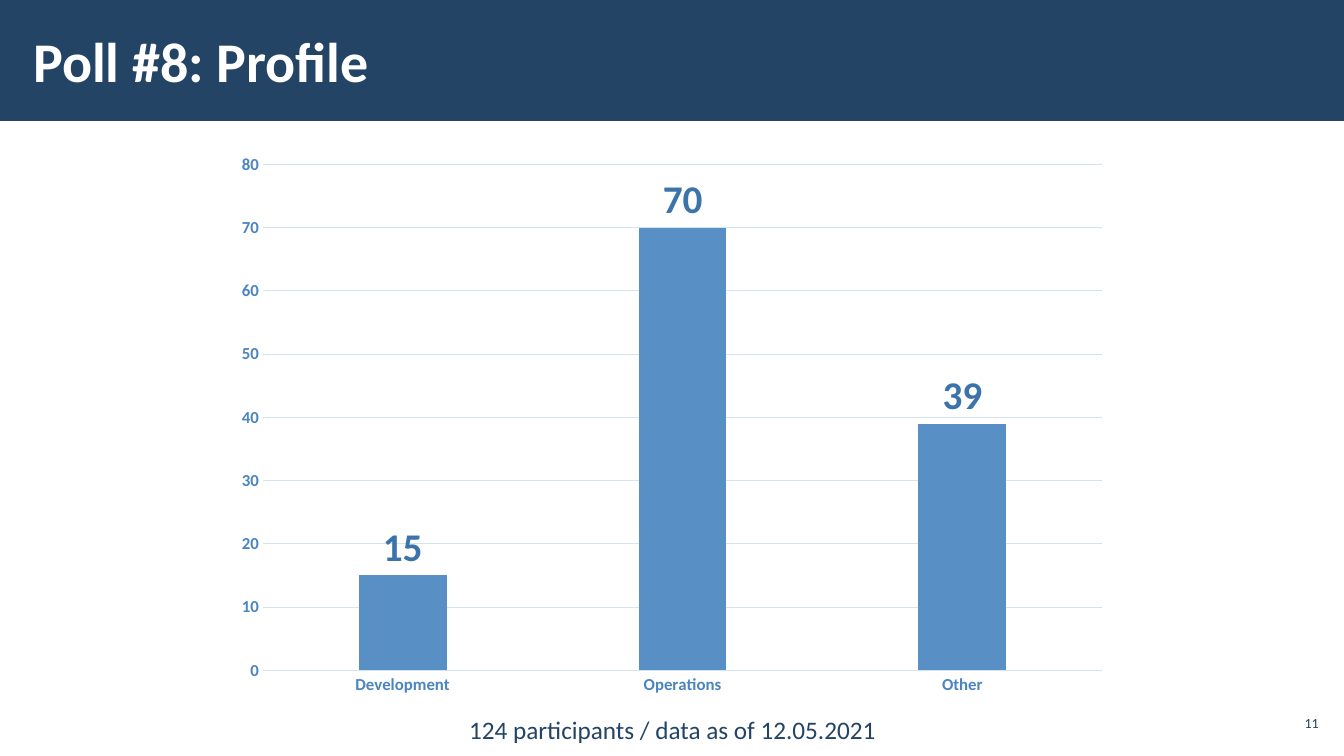
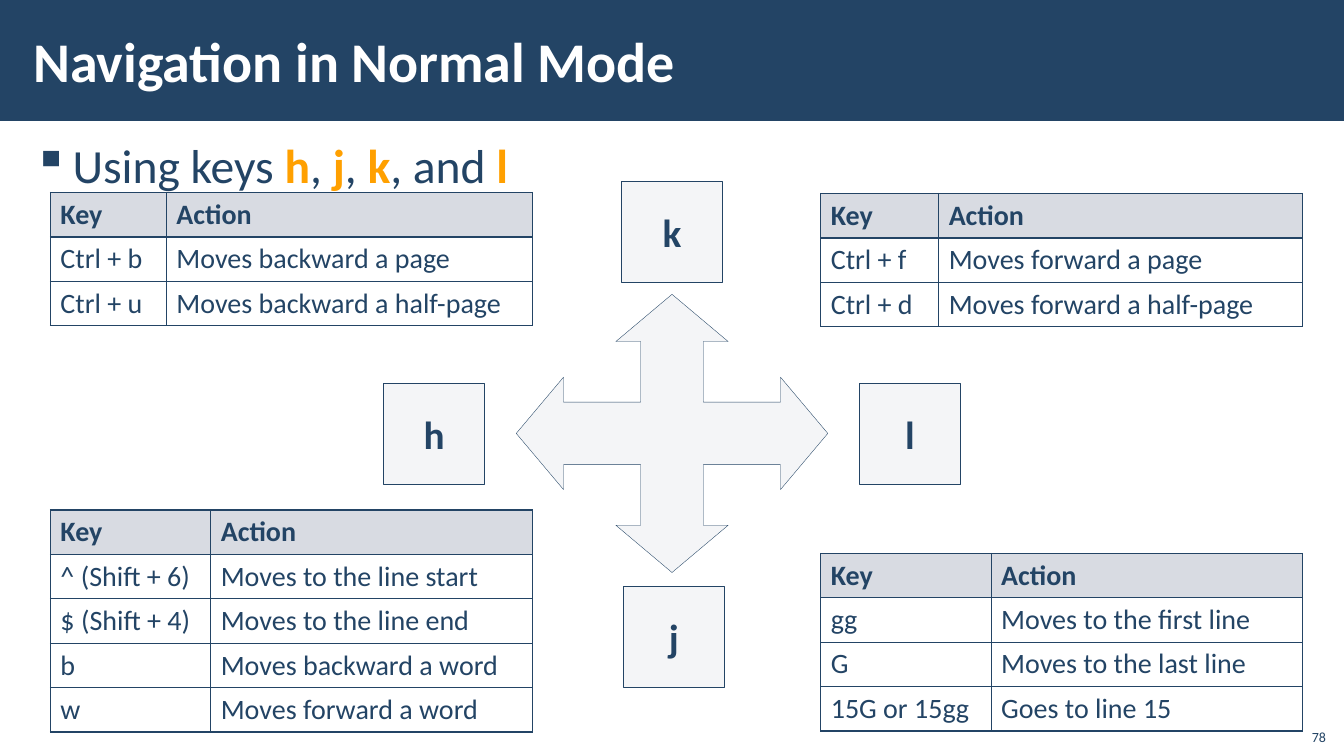
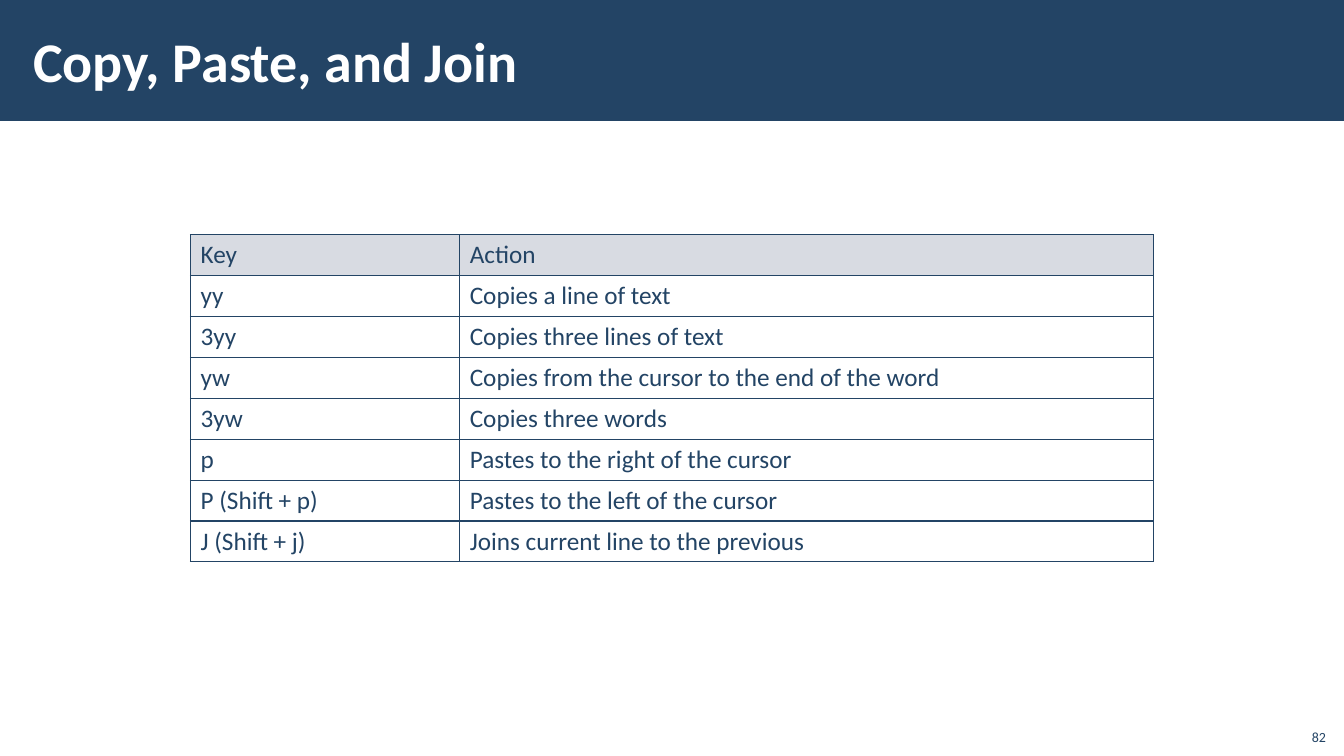
"""Build three training slides: a poll chart and two editor key references."""
from lxml import etree
from pptx import Presentation, util as u
from pptx.chart.data import CategoryChartData
from pptx.dml.color import RGBColor
from pptx.enum import chart as ch, shapes, text
from pptx.oxml.ns import qn

FONT = "Calibri"
WIDTH, HEIGHT = 13.33, 7.5
COLORS = {"navy": "234465", "white": "FFFFFF", "accent": "FFA000", "key": "F4F5F7",
          "header": "D8DBE2", "bar": "588FC5", "label": "3B73AA", "axis": "4A85C0",
          "grid": "D5E3F1"}
BAND = (0, 0, WIDTH, 1.2)
TITLE = (0.21, 0.11, 10.63, 0.97)
TITLE_INSETS = (0.12, 0.04, 0.12, 0.04)
DEFAULT_INSETS = (0.1, 0.05, 0.1, 0.05)
PAGE_BOX = (12.85, 7.12, 0.4, 0.32)

POLL = {"Development": 15, "Operations": 70, "Other": 39}
POLL_NOTE = "124 participants / data as of 12.05.2021"

USING_KEYS = [("Using keys ", False), ("h", True), (", ", False), ("j", True),
              (", ", False), ("k", True), (", and ", False), ("l", True)]
ARROW = (5.12, 2.92, 3.09, 2.76)
ARROW_SHAPE = (0.225, 0.202, 0.17)
KEY_SIZE = 1
KEY_OFFSETS = {"h": (-2.36, 0), "k": (0, -2), "j": (0.02, 2.02), "l": (2.36, 0)}

HEADER = ("Key", "Action")
LEFT, RIGHT, REFERENCE_WIDTH, REFERENCE_ROW = 0.5, 8.14, 4.78, 0.44
REFERENCES = [
    (RIGHT, 1.92, 1.17, [("Ctrl + f", "Moves forward a page"),
                         ("Ctrl + d", "Moves forward a half-page")]),
    (LEFT, 1.91, 1.15, [("Ctrl + b", "Moves backward a page"),
                        ("Ctrl + u", "Moves backward a half-page")]),
    (RIGHT, 5.49, 1.69, [("gg", "Moves to the first line"),
                         ("G", "Moves to the last line"),
                         ("15G or 15gg", "Goes to line 15")]),
    (LEFT, 5.06, 1.59, [("^ (Shift + 6)", "Moves to the line start"),
                        ("$ (Shift + 4)", "Moves to the line end"),
                        ("b", "Moves backward a word"),
                        ("w", "Moves forward a word")]),
]
COPY_KEYS = [
    ("yy", "Copies a line of text"),
    ("3yy", "Copies three lines of text"),
    ("yw", "Copies from the cursor to the end of the word"),
    ("3yw", "Copies three words"),
    ("p", "Pastes to the right of the cursor"),
    ("P (Shift + p)", "Pastes to the left of the cursor"),
    ("J (Shift + j)", "Joins current line to the previous"),
]


def color(name):
    return RGBColor.from_string(COLORS[name])


def inches(box):
    return [u.Inches(length) for length in box]


def style(font, size, name="navy", bold=False):
    font.name, font.size, font.bold = FONT, u.Pt(size), bold
    font.color.rgb = color(name)


def set_frame(frame, insets, anchor):
    frame.word_wrap = True
    frame.auto_size = text.MSO_AUTO_SIZE.NONE
    frame.vertical_anchor = anchor
    (frame.margin_left, frame.margin_top,
     frame.margin_right, frame.margin_bottom) = inches(insets)
    return frame.paragraphs[0]


def write(holder, words, size, name="navy", bold=False, align=text.PP_ALIGN.LEFT,
          insets=DEFAULT_INSETS, anchor=text.MSO_ANCHOR.MIDDLE):
    line = set_frame(holder.text_frame, insets, anchor)
    line.text, line.alignment = words, align
    style(line.font, size, name, bold)
    return line


def add_block(slide, kind, box, fill, outline=None):
    block = slide.shapes.add_shape(kind, *inches(box))
    block.shadow.inherit = False
    block.fill.solid()
    block.fill.fore_color.rgb = color(fill)
    if outline:
        block.line.color.rgb = color(outline)
        block.line.width = u.Pt(0.25)
    else:
        block.line.fill.background()
    return block


def add_slide(deck, title, page, page_box=PAGE_BOX, insets=DEFAULT_INSETS,
              anchor=text.MSO_ANCHOR.BOTTOM):
    slide = deck.slides.add_slide(deck.slide_layouts[5])
    heading = slide.shapes.title
    heading.left, heading.top, heading.width, heading.height = inches(TITLE)
    write(heading, title, 40, "white", True, insets=TITLE_INSETS)
    write(slide.shapes.add_textbox(*inches(page_box)), page, 10,
          align=text.PP_ALIGN.RIGHT, insets=insets, anchor=anchor)
    return slide


def add_band(slide):
    band = add_block(slide, shapes.MSO_SHAPE.RECTANGLE, BAND, "navy")
    slide.slide_layout.shapes._spTree.insert(2, band._element)


def add_borders(cell):
    properties = cell._tc.get_or_add_tcPr()
    for position, side in enumerate(("lnL", "lnR", "lnT", "lnB")):
        border = etree.Element(qn(f"a:{side}"), w=str(u.Pt(1)))
        solid = etree.SubElement(border, qn("a:solidFill"))
        etree.SubElement(solid, qn("a:srgbClr"), val=COLORS["navy"])
        properties.insert(position, border)


def add_key_table(slide, left, top, width, key_width, row_height, entries, size, bold_header):
    rows = [HEADER, *entries]
    box = (left, top, width, row_height * len(rows))
    table = slide.shapes.add_table(len(rows), len(HEADER), *inches(box)).table
    table.first_row = table.horz_banding = False
    for column, share in zip(table.columns, (key_width, width - key_width)):
        column.width = u.Inches(share)
    for r, row in enumerate(rows):
        table.rows[r].height = u.Inches(row_height)
        for c, words in enumerate(row):
            cell = table.cell(r, c)
            cell.text = words
            style(cell.text_frame.paragraphs[0].font, size, bold=bold_header and r == 0)
            if r == 0:
                cell.fill.solid()
                cell.fill.fore_color.rgb = color("header")
            else:
                cell.fill.background()
            add_borders(cell)


def add_poll_chart(slide, box):
    data = CategoryChartData()
    data.categories = list(POLL)
    data.add_series("Series 1", list(POLL.values()))
    chart = slide.shapes.add_chart(ch.XL_CHART_TYPE.COLUMN_CLUSTERED, *inches(box), data).chart
    chart.has_legend = chart.has_title = False
    style(chart.font, 10)
    for axis in (chart.category_axis, chart.value_axis):
        axis.major_tick_mark = axis.minor_tick_mark = ch.XL_TICK_MARK.NONE
        style(axis.tick_labels.font, 12, "axis", True)
    values = chart.value_axis
    values.minimum_scale, values.maximum_scale, values.major_unit = 0, 80, 10
    values.format.line.fill.background()
    for line in (chart.category_axis.format.line, values.major_gridlines.format.line):
        line.color.rgb = color("grid")
        line.width = u.Pt(0.75)
    plot = chart.plots[0]
    plot.gap_width, plot.overlap, plot.vary_by_categories = 219, -27, False
    bars = plot.series[0]
    bars.format.fill.solid()
    bars.format.fill.fore_color.rgb = color("bar")
    labels = bars.data_labels
    labels.show_value = True
    labels.position = ch.XL_LABEL_POSITION.OUTSIDE_END
    style(labels.font, 28, "label", True)


def add_using_keys(slide):
    holder = slide.shapes.add_textbox(*inches((0.21, 1.31, 12.92, 0.7)))
    line = set_frame(holder.text_frame, TITLE_INSETS, text.MSO_ANCHOR.TOP)
    properties = line._p.get_or_add_pPr()
    properties.set("marL", str(u.Inches(0.39)))
    properties.set("indent", str(-u.Inches(0.39)))
    etree.SubElement(properties, qn("a:buChar"), char="▪")
    style(line.font, 34)
    for words, is_key in USING_KEYS:
        run = line.add_run()
        run.text = words
        if is_key:
            run.font.bold = True
            run.font.color.rgb = color("accent")


def add_key_cross(slide):
    arrow = add_block(slide, shapes.MSO_SHAPE.QUAD_ARROW, ARROW, "key", "navy")
    for position, share in enumerate(ARROW_SHAPE):
        arrow.adjustments[position] = share
    left, top, width, height = ARROW
    for key, (across, down) in KEY_OFFSETS.items():
        box = (left + (width - KEY_SIZE) / 2 + across,
               top + (height - KEY_SIZE) / 2 + down, KEY_SIZE, KEY_SIZE)
        block = add_block(slide, shapes.MSO_SHAPE.RECTANGLE, box, "key", "navy")
        write(block, key, 28, bold=True, align=text.PP_ALIGN.CENTER)


def main():
    deck = Presentation()
    deck.slide_width, deck.slide_height = inches((WIDTH, HEIGHT))

    poll = add_slide(deck, "Poll #8: Profile", "11", (12.65, 7, 0.47, 0.34),
                     (0.04,) * 4, text.MSO_ANCHOR.MIDDLE)
    add_band(poll)
    add_poll_chart(poll, (2.22, 1.42, 8.89, 5.58))
    note = poll.shapes.add_textbox(*inches((0.22, 6.94, 12.9, 0.56)))
    write(note, POLL_NOTE, 18, align=text.PP_ALIGN.CENTER, insets=(0.16, 0.12, 0.16, 0.12),
          anchor=text.MSO_ANCHOR.TOP).line_spacing = 1.1

    navigation = add_slide(deck, "Navigation in Normal Mode", "78")
    add_using_keys(navigation)
    add_key_cross(navigation)
    for left, top, key_width, entries in REFERENCES:
        add_key_table(navigation, left, top, REFERENCE_WIDTH, key_width,
                      REFERENCE_ROW, entries, 20, True)

    copying = add_slide(deck, "Copy, Paste, and Join", "82")
    add_key_table(copying, 1.89, 2.33, 9.55, 2.67, 3.24 / 8, COPY_KEYS, 18, False)

    deck.save("out.pptx")


if __name__ == "__main__":
    main()
